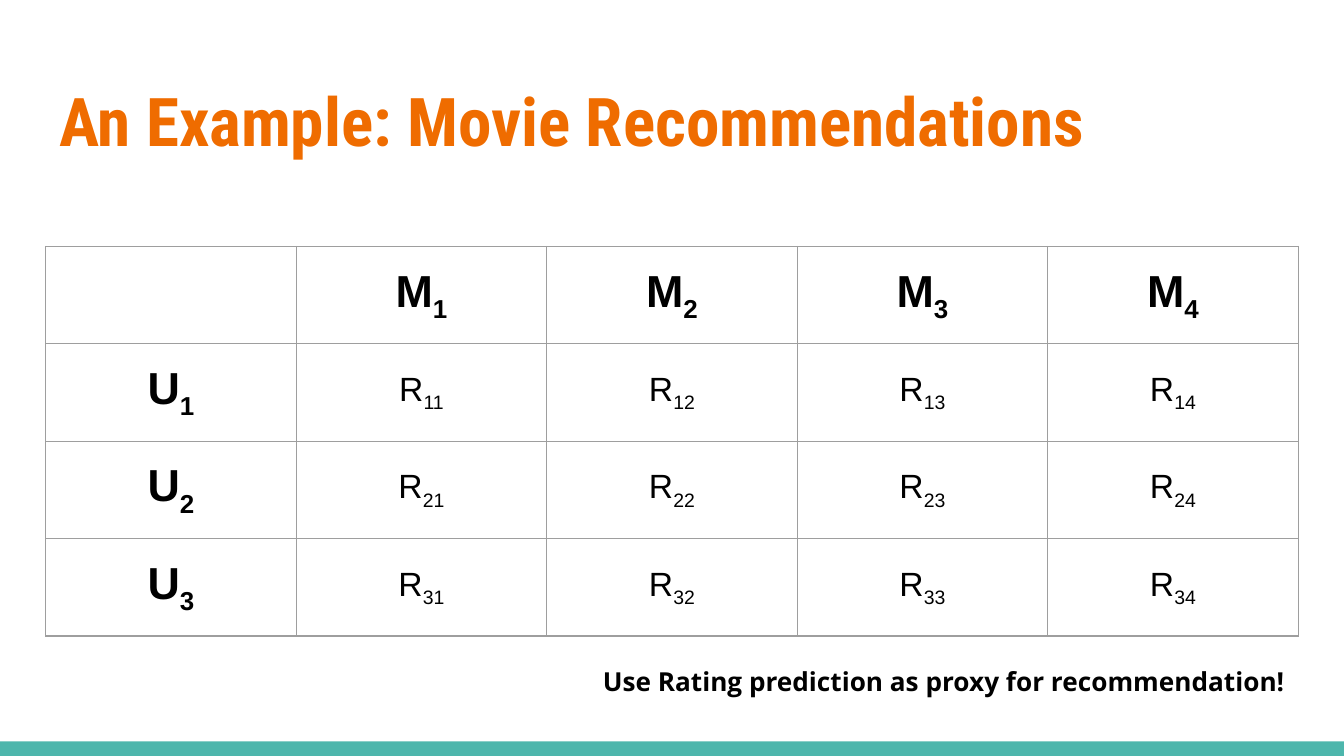
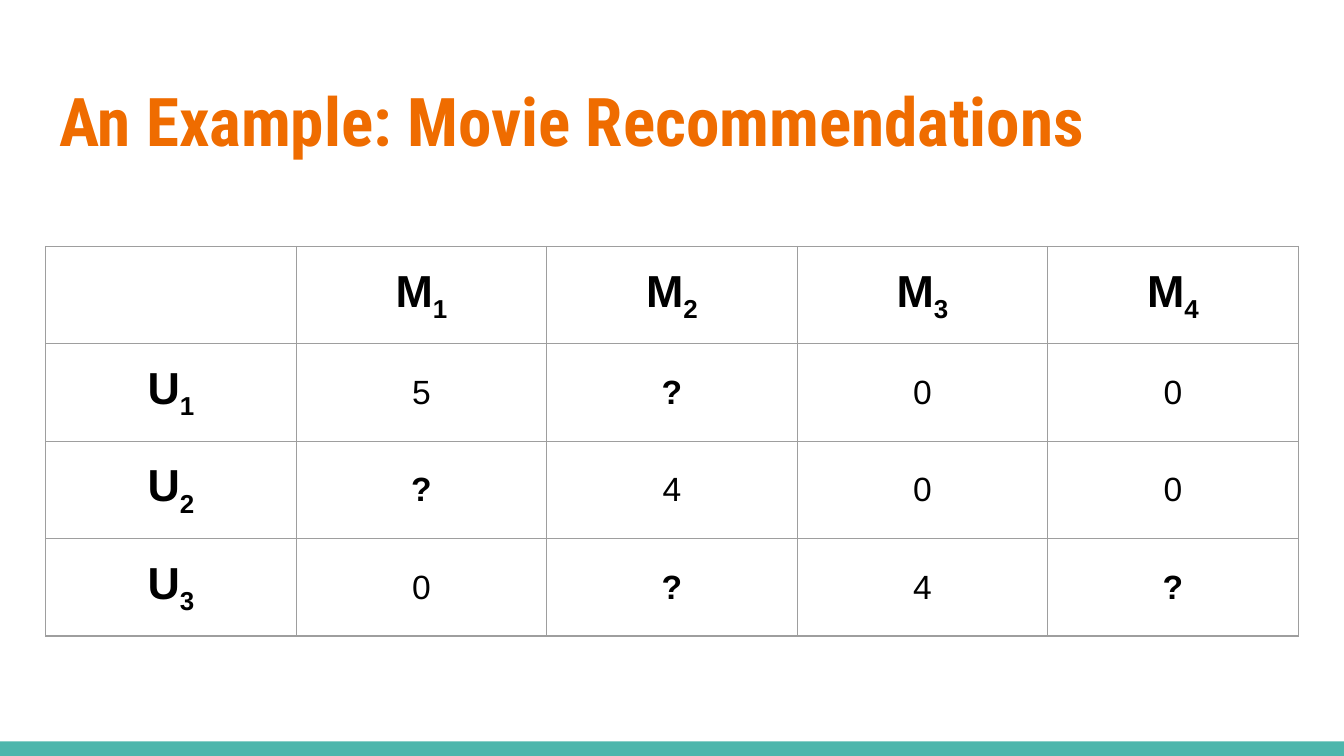
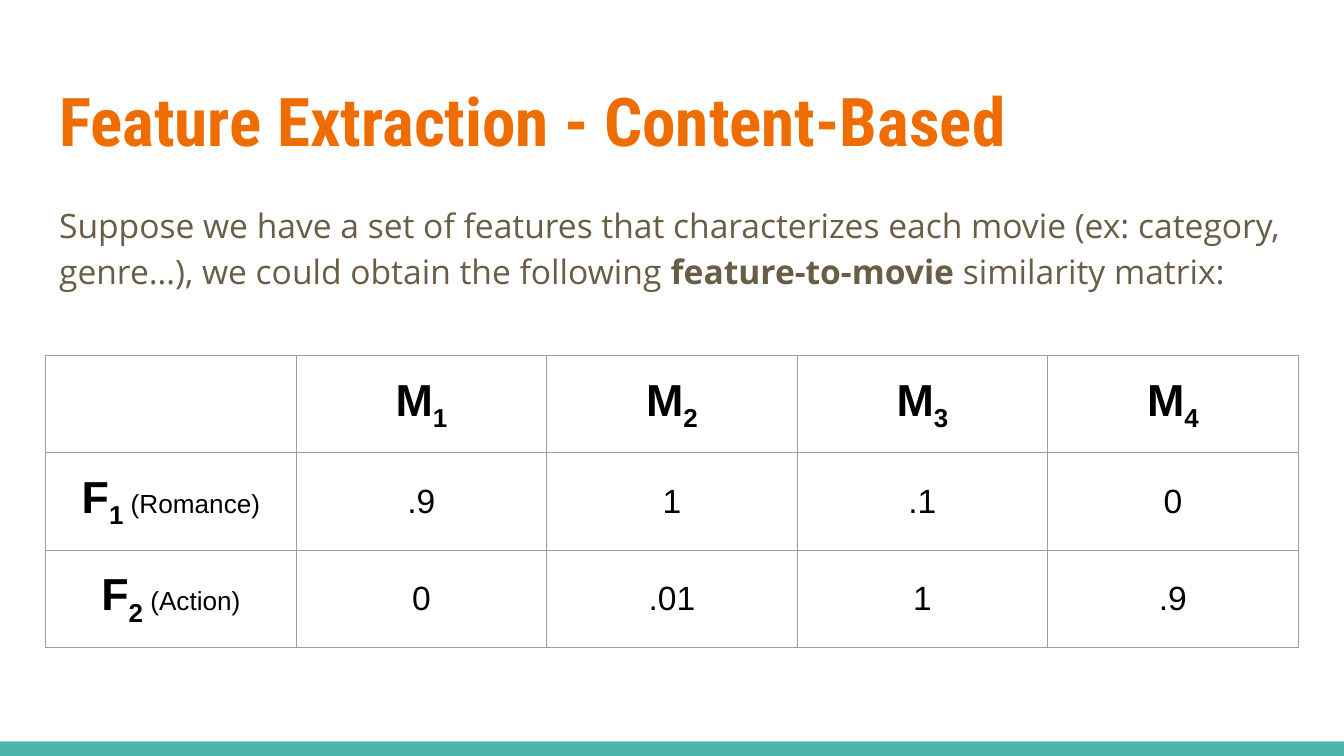
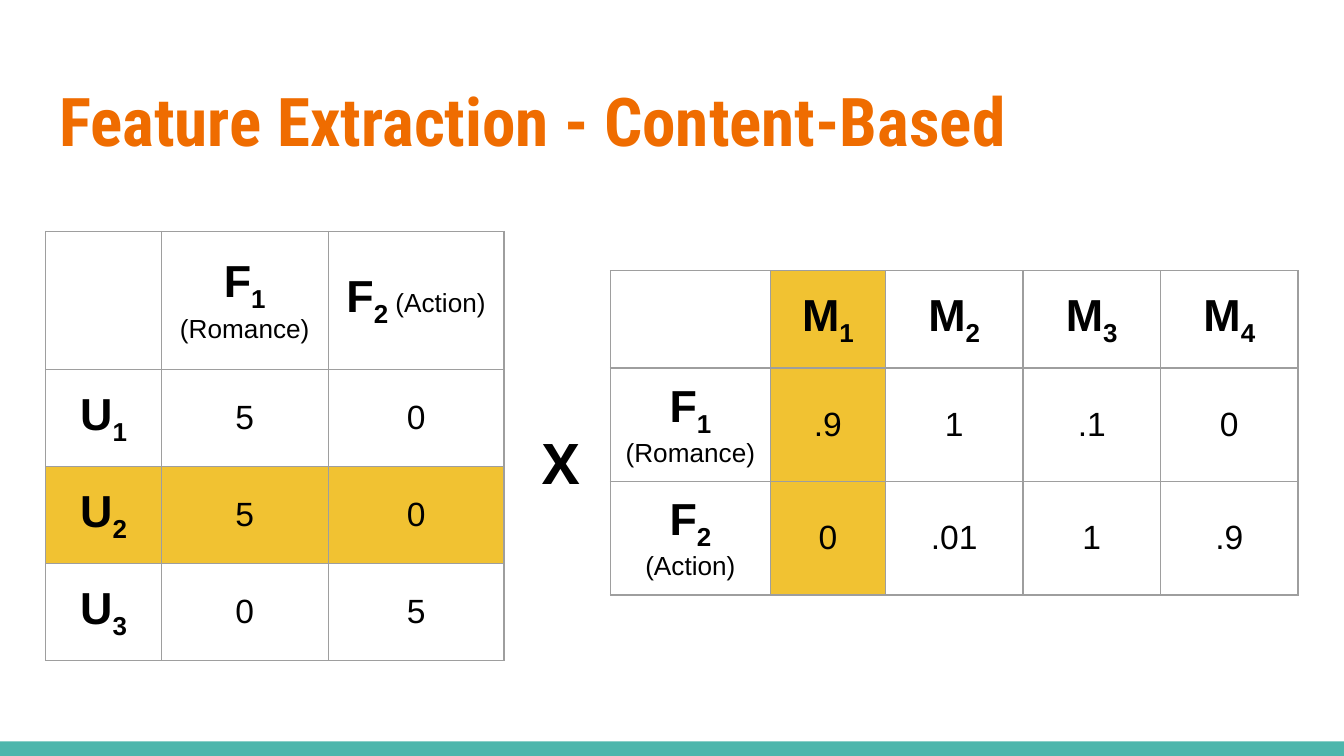
"""Build four slides on movie recommendations with rating and feature matrices."""
from lxml.etree import SubElement
from pptx import Presentation
from pptx.dml.color import RGBColor
from pptx.enum.shapes import MSO_SHAPE
from pptx.enum.text import MSO_ANCHOR, MSO_AUTO_SIZE, PP_ALIGN
from pptx.oxml.ns import qn
from pptx.util import Pt

COLORS = {"title": "EF6C00", "body": "695D46", "text": "000000",
          "band": "4DB6AC", "grid": "9E9E9E", "mark": "F1C232"}
LEFT, WIDTH, PAD = 24.5, 671, Pt(7.2)
ROW = 52.2
MOVIES = ["", "M_1", "M_2", "M_3", "M_4"]
FEATURES = [MOVIES,
            ["F_1 (Romance)", ".9", "1", ".1", "0"],
            ["F_2 (Action)", "0", ".01", "1", ".9"]]


def add_run(p, text, size, font="Arial", color="text", bold=False, sub=False):
    r = p.add_run()
    r.text = text
    r.font.size = Pt(size)
    r.font.name = font
    r.font.bold = bold
    r.font.color.rgb = RGBColor.from_string(COLORS[color])
    if sub:
        r._r.get_or_add_rPr().set("baseline", "-25000")


def add_matrix(s, x, y, cols, rows, data, mark_row=None, mark_col=None):
    table = s.shapes.add_table(len(rows), len(cols), Pt(x), Pt(y),
                               Pt(sum(cols)), Pt(sum(rows))).table
    table.first_row = table.horz_banding = False
    for col, width in zip(table.columns, cols):
        col.width = Pt(width)
    for row, height in zip(table.rows, rows):
        row.height = Pt(height)
    for i, line in enumerate(data):
        for j, text in enumerate(line):
            cell = table.cell(i, j)
            cell.margin_left = cell.margin_right = PAD
            cell.margin_top = cell.margin_bottom = PAD
            cell.vertical_anchor = MSO_ANCHOR.MIDDLE
            tcPr = cell._tc.get_or_add_tcPr()
            for side in ("a:lnL", "a:lnR", "a:lnT", "a:lnB"):
                ln = SubElement(tcPr, qn(side), w=str(Pt(0.75)))
                fill = SubElement(ln, qn("a:solidFill"))
                SubElement(fill, qn("a:srgbClr"), val=COLORS["grid"])
            if i == mark_row or j == mark_col:
                cell.fill.solid()
                cell.fill.fore_color.rgb = RGBColor.from_string(COLORS["mark"])
            else:
                cell.fill.background()
            if not text:
                continue
            p = cell.text_frame.paragraphs[0]
            p.alignment = PP_ALIGN.CENTER
            base, _, rest = text.partition("_")
            index, _, note = rest.partition(" ")
            header = base in ("M", "U", "F")
            size, bold = 24 if header else 18, header or base == "?"
            add_run(p, base, size, bold=bold)
            if index:
                add_run(p, index, size, bold=bold, sub=True)
            if note:
                add_run(p, " " + note, 14)


prs = Presentation()
prs.slide_width, prs.slide_height = Pt(720), Pt(405)

slides = []
for title, layout in [("An Example: Movie Recommendations", 5),
                      ("An Example: Movie Recommendations", 5),
                      ("Feature Extraction - Content-Based", 1),
                      ("Feature Extraction - Content-Based", 5)]:
    s = prs.slides.add_slide(prs.slide_layouts[layout])
    sp = s.shapes.title
    sp.left, sp.top, sp.width, sp.height = Pt(LEFT), Pt(35.3), Pt(WIDTH), Pt(55.4)
    p = sp.text_frame.paragraphs[0]
    p.alignment = PP_ALIGN.LEFT
    add_run(p, title, 36, "Roboto Condensed", "title", True)
    slides.append(s)

band = slides[0].shapes.add_shape(MSO_SHAPE.RECTANGLE, 0, Pt(397.2), Pt(720), Pt(7.8))
band.shadow.inherit = False
band.fill.solid()
band.fill.fore_color.rgb = RGBColor.from_string(COLORS["band"])
band.line.fill.background()
band.element.nvSpPr.cNvPr.set("id", "20")
prs.slide_master.shapes.element.insert(2, band.element)

ratings = [[f"R_{u}{m}" for m in range(1, 5)] for u in range(1, 4)]
known = [["5", "?", "0", "0"], ["?", "4", "0", "0"], ["0", "?", "4", "?"]]
for s, values in zip(slides, (ratings, known)):
    data = [MOVIES] + [[f"U_{u}"] + line for u, line in enumerate(values, 1)]
    add_matrix(s, LEFT, 132, [WIDTH / 5] * 5, [ROW] * 4, data)

s = slides[2]
body = s.placeholders[1]
body.left, body.top, body.width, body.height = Pt(LEFT), Pt(99.4), Pt(WIDTH), Pt(82)
p = body.text_frame.paragraphs[0]
p.line_spacing, p.space_before, p.space_after = 1.15, Pt(0), Pt(16)
pPr = p._p.get_or_add_pPr()
pPr.set("marL", "0")
pPr.set("indent", "0")
SubElement(pPr, qn("a:buNone"))
for text, bold in [("Suppose we have a set of features that characterizes each movie "
                    "(ex: category, genre…), we could obtain the following ", False),
                   ("feature-to-movie", True),
                   (" similarity matrix:", False)]:
    add_run(p, text, 18, "Open Sans", "body", bold)
add_matrix(s, LEFT, 190.4, [WIDTH / 5] * 5, [ROW] * 3, FEATURES)

s = slides[3]
users = [["", "F_1 (Romance)", "F_2 (Action)"],
         ["U_1", "5", "0"], ["U_2", "5", "0"], ["U_3", "0", "5"]]
add_matrix(s, LEFT, 124, [62, 89.3, 94.3], [74] + [52] * 3, users, mark_row=2)
add_matrix(s, 327, 145, [85.7, 61.7] + [73.7] * 3, [ROW] * 3, FEATURES, mark_col=1)

notes = [(slides[0], "Use Rating prediction as proxy for recommendation!", 14,
          PP_ALIGN.RIGHT, (297.4, 349.2, 398.2, 27.4)),
         (slides[3], "X", 30, PP_ALIGN.LEFT, (283.7, 222.5, 29.5, 47.5))]
for s, text, size, align, box in notes:
    sp = s.shapes.add_textbox(*[Pt(v) for v in box])
    p = sp.text_frame.paragraphs[0]
    p.alignment = align
    add_run(p, text, size, "Open Sans", bold=True)

for s in slides:
    for sp in s.shapes:
        if sp.has_text_frame:
            tf = sp.text_frame
            tf.word_wrap = True
            tf.auto_size = MSO_AUTO_SIZE.NONE
            tf.vertical_anchor = MSO_ANCHOR.TOP
            tf.margin_left = tf.margin_right = PAD
            tf.margin_top = tf.margin_bottom = PAD

prs.save("out.pptx")
